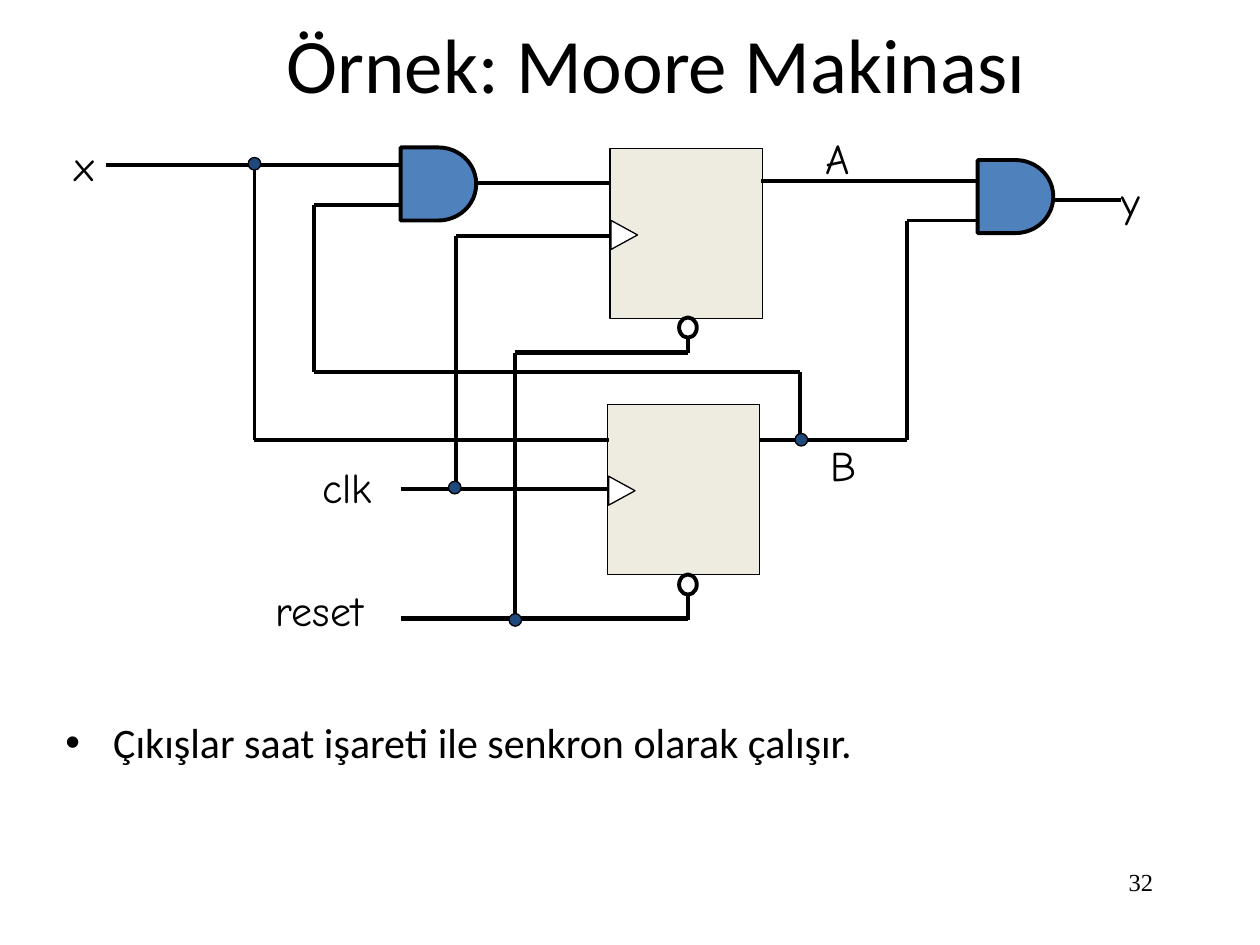
from lxml import etree
from pptx import Presentation
from pptx.dml.color import RGBColor
from pptx.enum.shapes import MSO_CONNECTOR, MSO_SHAPE
from pptx.enum.text import MSO_ANCHOR, MSO_AUTO_SIZE, PP_ALIGN
from pptx.oxml.ns import qn
from pptx.util import Inches, Pt

BLACK = RGBColor(0x00, 0x00, 0x00)
WHITE = RGBColor(0xFF, 0xFF, 0xFF)
CREAM = RGBColor(0xEE, 0xEC, 0xE1)
BLUE = RGBColor(0x4F, 0x81, 0xBD)
NAVY = RGBColor(0x1F, 0x49, 0x7D)

THIN, WIRE, BUS = 0.75, 2.25, 3
GATE_WIDTH, GATE_HEIGHT = 0.6, 0.58
DOT = 0.1

# Wires as corner points, measured from the circuit's top left
WIRES = [
    (WIRE, [(0.34, 0.31), (2.68, 0.31)]),                             # x
    (WIRE, [(1.52, 0.31), (1.52, 2.49), (4.33, 2.49)]),               # x to lower T
    (WIRE, [(3.26, 0.45), (4.34, 0.45)]),                             # gate to upper T
    (WIRE, [(2.68, 2.88), (4.33, 2.88)]),                             # clk
    (WIRE, [(3.12, 2.88), (3.12, 0.87), (4.34, 0.87)]),               # clk to upper C
    (WIRE, [(5.54, 0.44), (7.26, 0.44)]),                             # A
    (WIRE, [(5.53, 2.49), (6.7, 2.49), (6.7, 0.75), (7.26, 0.75)]),   # B
    (WIRE, [(5.85, 2.49), (5.85, 1.95), (1.99, 1.95), (1.99, 0.63),
            (2.68, 0.63)]),                                           # B feedback
    (WIRE, [(7.85, 0.59), (8.4, 0.59)]),                              # y
    (BUS, [(2.68, 3.91), (4.96, 3.91)]),                              # reset
    (WIRE, [(4.96, 3.92), (4.96, 3.72)]),                             # reset to lower
    (WIRE, [(3.59, 3.91), (3.59, 1.8)]),                              # reset branch
    (BUS, [(3.59, 1.8), (4.96, 1.8)]),
    (WIRE, [(4.96, 1.8), (4.96, 1.69)]),
]
JUNCTIONS = [(1.52, 0.3), (3.11, 2.87), (5.86, 2.49), (3.59, 3.92)]
SIGNALS = [
    ("x", 0.09, 0.11, 0.2), ("A", 6.05, 0.05, 0.24), ("B", 6.09, 2.49, 0.21),
    ("y", 8.4, 0.39, 0.17), ("clk", 2.06, 2.66, 0.44), ("reset", 1.69, 3.64, 0.84),
]


def add_text(page, text, left, top, width, height, font, size):
    box = page.shapes.add_textbox(Inches(left), Inches(top), Inches(width), Inches(height))
    box.text_frame.word_wrap = True
    para = box.text_frame.paragraphs[0]
    span = para.add_run()
    span.text = text
    span.font.name = font
    span.font.size = Pt(size)
    span.font.color.rgb = BLACK
    return box.text_frame, para


def add_label(page, text, left, top, width):
    frame, _ = add_text(page, text, left, top, width, 0.4, "Comic Neue", 24)
    frame.auto_size = MSO_AUTO_SIZE.SHAPE_TO_FIT_TEXT
    frame.margin_left = frame.margin_right = frame.margin_top = frame.margin_bottom = 0


def add_part(page, kind, left, top, width, height, fill, weight=THIN):
    part = page.shapes.add_shape(kind, Inches(left), Inches(top), Inches(width), Inches(height))
    part.shadow.inherit = False
    if fill is None:
        part.fill.background()
    else:
        part.fill.solid()
        part.fill.fore_color.rgb = fill
    part.line.color.rgb = BLACK
    part.line.width = Pt(weight)
    return part


def add_wire(page, left, top, points, weight):
    for (x1, y1), (x2, y2) in zip(points, points[1:]):
        wire = page.shapes.add_connector(
            MSO_CONNECTOR.STRAIGHT, Inches(left + x1), Inches(top + y1),
            Inches(left + x2), Inches(top + y2))
        wire.line.color.rgb = BLACK
        wire.line.width = Pt(weight)
        etree.SubElement(wire._element.spPr, qn("a:effectLst"))


def add_flip_flop(page, left, top):
    add_part(page, MSO_SHAPE.RECTANGLE, left, top, 1.21, 1.35, CREAM)
    clock = add_part(page, MSO_SHAPE.ISOSCELES_TRIANGLE, left, top + 0.58, 0.23, 0.21, WHITE)
    clock.rotation = 90


def add_circuit(page, left, top):
    add_flip_flop(page, left + 4.34, top + 0.18)
    add_flip_flop(page, left + 4.32, top + 2.21)
    for weight, points in WIRES:
        add_wire(page, left, top, points, weight)
    # AND gates
    for x, y in [(2.68, 0.17), (7.26, 0.27)]:
        add_part(page, MSO_SHAPE.FLOWCHART_DELAY, left + x, top + y,
                 GATE_WIDTH, GATE_HEIGHT, BLUE, WIRE)
    # Inverting reset inputs
    for y in (1.52, 3.56):
        add_part(page, MSO_SHAPE.OVAL, left + 4.89, top + y, 0.14, 0.16, None, WIRE)
    for x, y in JUNCTIONS:
        add_part(page, MSO_SHAPE.OVAL, left + x - DOT / 2, top + y - DOT / 2, DOT, DOT, NAVY)
    for name, x, y, width in SIGNALS:
        add_label(page, name, left + x, top + y, width)


def add_title(page, left, top, width, height):
    frame, para = add_text(page, "Örnek: Moore Makinası", left, top, width, height,
                           "Calibri", 44)
    frame.vertical_anchor = MSO_ANCHOR.MIDDLE
    para.alignment = PP_ALIGN.CENTER


def add_body(page, left, top, width, height):
    _, para = add_text(page, "Çıkışlar saat işareti ile senkron olarak çalışır.",
                       left, top, width, height, "Calibri", 24)
    props = para._p.get_or_add_pPr()
    props.set("marL", str(Inches(0.38)))
    props.set("indent", str(-Inches(0.38)))
    etree.SubElement(props, qn("a:buFont"), typeface="Arial")
    etree.SubElement(props, qn("a:buChar"), char="•")


def add_page_number(page, left, top, width, height):
    _, para = add_text(page, "32", left, top, width, height, "Times New Roman", 14)
    para.alignment = PP_ALIGN.RIGHT


def main():
    deck = Presentation()
    deck.slide_width, deck.slide_height = Inches(10), Inches(7.5)
    page = deck.slides.add_slide(deck.slide_layouts[6])
    add_page_number(page, 7.17, 6.83, 2.08, 0.5)
    add_title(page, 0.42, 0, 9.58, 1)
    add_body(page, 0.42, 5.64, 9.58, 1.22)
    add_circuit(page, 0.5, 1)
    deck.save("out.pptx")


if __name__ == "__main__":
    main()
